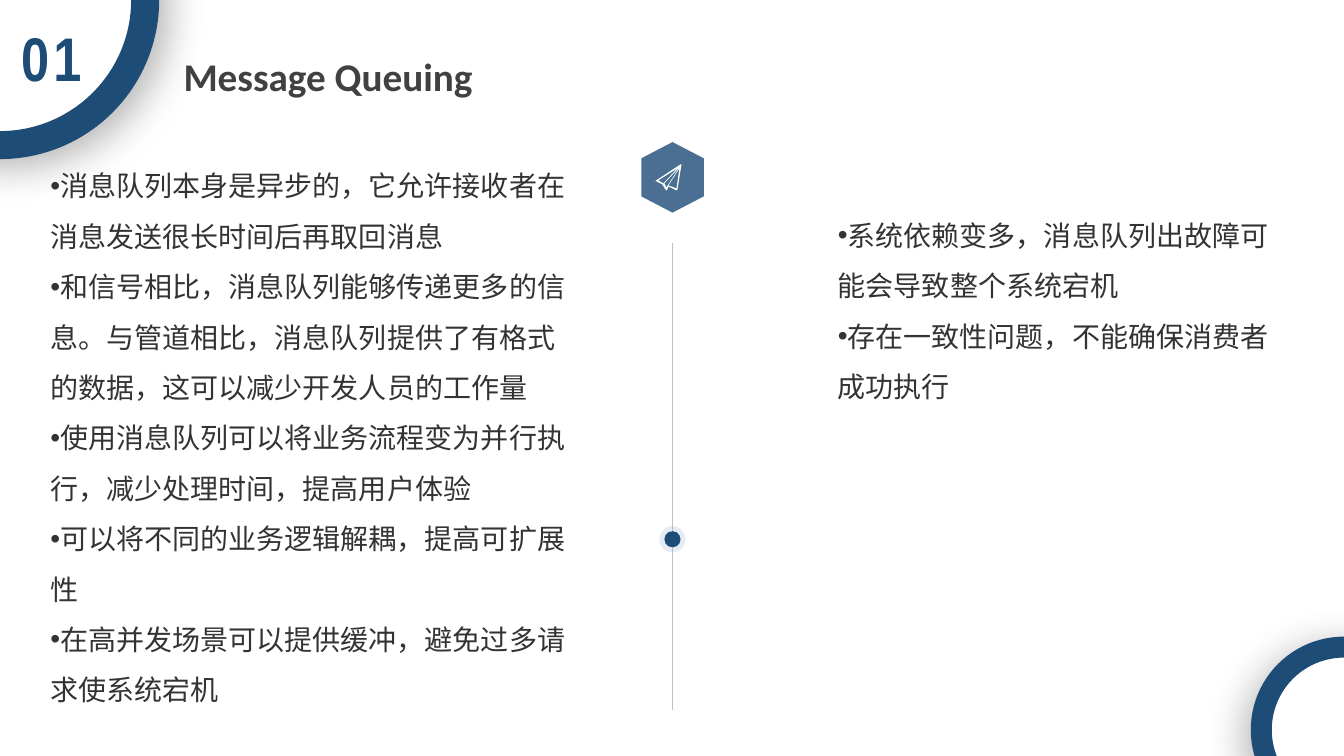
"""Build the Message Queuing slide: benefits on the left, drawbacks on the right."""
from lxml import etree
from pptx import Presentation
from pptx.dml.color import RGBColor
from pptx.enum.shapes import MSO_CONNECTOR, MSO_SHAPE
from pptx.enum.text import MSO_ANCHOR, MSO_AUTO_SIZE, PP_ALIGN
from pptx.oxml.ns import qn
from pptx.util import Inches, Pt

OVAL, HEXAGON = MSO_SHAPE.OVAL, MSO_SHAPE.HEXAGON
STRAIGHT = MSO_CONNECTOR.STRAIGHT
TOP, MIDDLE = MSO_ANCHOR.TOP, MSO_ANCHOR.MIDDLE
LEFT, CENTER = PP_ALIGN.LEFT, PP_ALIGN.CENTER
GROW = MSO_AUTO_SIZE.SHAPE_TO_FIT_TEXT

NAVY, WHITE, HALO = "1D4C77", "FFFFFF", "9FB8D6"
GREY, TITLE_INK, BODY_INK = "BFBFBF", "414141", "333333"

SLIDE_SIZE = 13.33, 7.5
AXIS = 6.67
TITLE = "Message Queuing"
NUMBER = "01"
COLUMNS = [
    ((0.5, 1.38, 5.28, 5.76), [
        "消息队列本身是异步的，它允许接收者在消息发送很长时间后再取回消息",
        "和信号相比，消息队列能够传递更多的信息。与管道相比，消息队列提供了有格式的数据，这可以减少开发人员的工作量",
        "使用消息队列可以将业务流程变为并行执行，减少处理时间，提高用户体验",
        "可以将不同的业务逻辑解耦，提高可扩展性",
        "在高并发场景可以提供缓冲，避免过多请求使系统宕机",
    ]),
    ((8.31, 1.88, 4.52, 2.24), [
        "系统依赖变多，消息队列出故障可能会导致整个系统宕机",
        "存在一致性问题，不能确保消费者成功执行",
    ]),
]
# centre x, centre y, diameter, line width, shadow direction
RINGS = [(0, 0, 2.88, 20, 45), (13.33, 7.24, 1.64, 15, 125)]
MARKER_Y = 5.35
MARKER_DISCS = [(0.26, HALO, 26), (0.16, NAVY, 100)]
PLANE = [
    [(6.76, 1.63), (6.75, 1.63), (6.51, 1.79), (6.5, 1.8), (6.51, 1.8), (6.57, 1.83),
     (6.6, 1.88), (6.61, 1.89), (6.62, 1.88), (6.63, 1.85), (6.71, 1.89), (6.72, 1.88)],
    [(6.71, 1.87), (6.63, 1.84), (6.74, 1.67)],
    [(6.59, 1.82), (6.74, 1.66), (6.61, 1.86)],
    [(6.53, 1.79), (6.72, 1.67), (6.58, 1.82)],
]


def inches(*lengths):
    return [Inches(length) for length in lengths]


def color(hex_code):
    return RGBColor.from_string(hex_code)


def paint(shape, hex_code, opacity=100):
    shape.shadow.inherit = False
    shape.line.fill.background()
    shape.fill.solid()
    shape.fill.fore_color.rgb = color(hex_code)
    if opacity < 100:
        tint = shape.fill._xPr.find(".//" + qn("a:srgbClr"))
        etree.SubElement(tint, qn("a:alpha"), val=str(opacity * 1000))


def add_disc(shapes, x, y, diameter, hex_code, opacity=100):
    corner = x - diameter / 2, y - diameter / 2
    disc = shapes.add_shape(OVAL, *inches(*corner, diameter, diameter))
    paint(disc, hex_code, opacity)
    return disc


def add_ring(shapes, x, y, diameter, width, direction):
    ring = add_disc(shapes, x, y, diameter, WHITE)
    ring.line.color.rgb = color(NAVY)
    ring.line.width = Pt(width)
    effects = ring._element.spPr.find(qn("a:effectLst"))
    shadow = etree.SubElement(
        effects, qn("a:outerShdw"), blurRad=str(Pt(30)), dist=str(Pt(8)),
        dir=str(direction * 60000), algn="ctr", rotWithShape="0")
    shade = etree.SubElement(shadow, qn("a:srgbClr"), val="000000")
    etree.SubElement(shade, qn("a:alpha"), val="30000")


def add_badge(shapes):
    badge = shapes.add_group_shape().shapes
    hexagon = badge.add_shape(HEXAGON, *inches(AXIS - 0.35, 1.45, 0.7, 0.62))
    hexagon.rotation = 90
    hexagon.adjustments[0] = 0.26
    paint(hexagon, NAVY, 80)
    outline, *folds = PLANE
    builder = badge.build_freeform(*inches(*outline[0]), scale=1.0)
    builder.add_line_segments([inches(*point) for point in outline[1:]])
    for fold in folds:
        builder.move_to(*inches(*fold[0]))
        builder.add_line_segments([inches(*point) for point in fold[1:]])
    paint(builder.convert_to_shape(), WHITE)


def style(paragraph, font_name, size, hex_code, bold=False):
    for run in paragraph.runs:
        run.font.name = font_name
        run.font.size = Pt(size)
        run.font.bold = bold
        run.font.color.rgb = color(hex_code)


def add_column(shapes, box, points):
    frame = shapes.add_textbox(*inches(*box)).text_frame
    frame.word_wrap = True
    frame.auto_size = GROW
    frame.vertical_anchor = MIDDLE
    frame.margin_left = frame.margin_right = 0
    frame.margin_top = frame.margin_bottom = Inches(0.14)
    frame.text = "\n".join(points)
    for paragraph in frame.paragraphs:
        properties = paragraph._p.get_or_add_pPr()
        etree.SubElement(properties, qn("a:buFont"), typeface="Arial")
        etree.SubElement(properties, qn("a:buChar"), char="•")
        paragraph.line_spacing = 1.5
        style(paragraph, "Arial", 20, BODY_INK)


def main():
    deck = Presentation()
    deck.slide_width, deck.slide_height = inches(*SLIDE_SIZE)
    shapes = deck.slides.add_slide(deck.slide_layouts[5]).shapes

    axis = shapes.add_connector(STRAIGHT, *inches(AXIS, 2.41, AXIS, 7.04))
    axis.line.color.rgb = color(GREY)
    axis.line.width = Pt(0.5)
    etree.SubElement(axis._element.spPr, qn("a:effectLst"))

    marker = shapes.add_group_shape().shapes
    for diameter, hex_code, opacity in MARKER_DISCS:
        add_disc(marker, AXIS, MARKER_Y, diameter, hex_code, opacity)
    add_badge(shapes)
    for ring in RINGS:
        add_ring(shapes, *ring)

    number = shapes.add_textbox(*inches(0, 0.15, 1.02, 0.84)).text_frame
    number.word_wrap = True
    number.auto_size = GROW
    number.text = NUMBER
    number.paragraphs[0].alignment = CENTER
    style(number.paragraphs[0], "Arial Narrow", 44, NAVY, True)
    number.paragraphs[0].runs[0].font._element.set("spc", "300")

    title = shapes.title
    title.left, title.top, title.width, title.height = inches(1.72, 0.47, 3.1, 0.57)
    heading = title.text_frame
    heading.text = TITLE
    heading.word_wrap = False
    heading.auto_size = GROW
    heading.vertical_anchor = TOP
    heading.paragraphs[0].alignment = LEFT
    style(heading.paragraphs[0], "Calibri", 28, TITLE_INK, True)

    for box, points in COLUMNS:
        add_column(shapes, box, points)
    deck.save("out.pptx")


if __name__ == "__main__":
    main()
